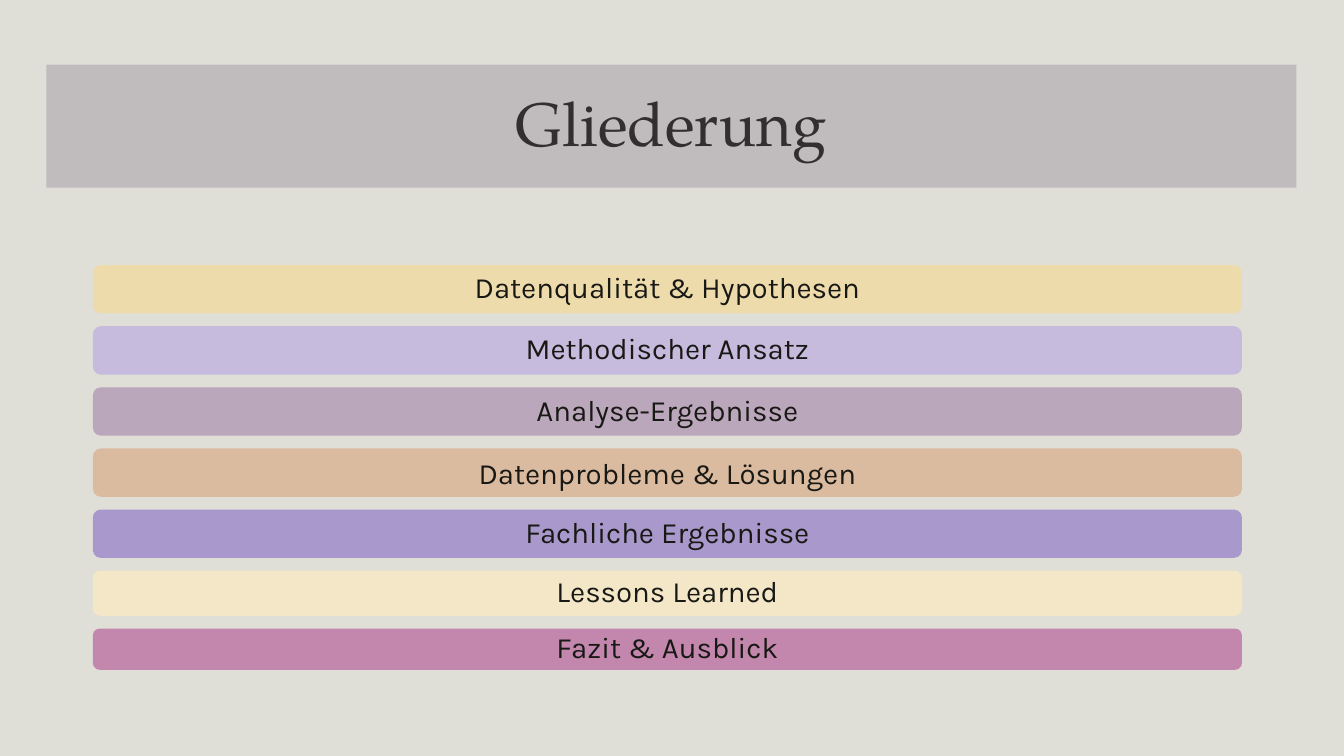
from dataclasses import dataclass

from pptx import Presentation
from pptx.dml.color import RGBColor
from pptx.enum import shapes, text
from pptx.util import Cm, Pt


@dataclass(frozen=True)
class Theme:
    background: str = "DFDFD8"
    banner: str = "C0BCBE"
    title_color: str = "312F30"
    title_font: str = "TeX Gyre Pagella"
    title_size: int = 44
    item_color: str = "181814"
    item_font: str = "Karla"
    item_size: int = 21


THEME = Theme()
BAR_LEFT, BAR_TOP, BAR_WIDTH, BAR_GAP = 2.34, 6.68, 28.96, 0.32

# Wording, fill, height in cm, line spacing
AGENDA = [
    ("Datenqualität & Hypothesen", "EEDBAC", 1.22, 0.9),
    ("Methodischer Ansatz", "C6BADD", 1.22, 0.9),
    ("Analyse-Ergebnisse", "BBA7BB", 1.22, 0.9),
    ("Datenprobleme & Lösungen", "DBBBA0", 1.22, 1.0),
    ("Fachliche Ergebnisse", "A998CC", 1.22, 0.9),
    ("Lessons Learned", "F4E7C8", 1.14, 0.9),
    ("Fazit & Ausblick", "C387AD", 1.04, 0.9),
]


def add_block(slide, kind, left, top, width, height, fill):
    shape = slide.shapes.add_shape(kind, Cm(left), Cm(top), Cm(width), Cm(height))
    shape.shadow.inherit = False
    shape.fill.solid()
    shape.fill.fore_color.rgb = RGBColor.from_string(fill)
    shape.line.fill.background()
    return shape


def write_centered(shape, wording, font_name, size, color, line_spacing=0.9):
    frame = shape.text_frame
    frame.text = wording
    frame.word_wrap = True
    frame.vertical_anchor = text.MSO_ANCHOR.MIDDLE
    paragraph = frame.paragraphs[0]
    paragraph.alignment = text.PP_ALIGN.CENTER
    paragraph.line_spacing = line_spacing
    font = paragraph.runs[0].font
    font.name = font_name
    font.size = Pt(size)
    font.color.rgb = RGBColor.from_string(color)


def add_title(slide, wording):
    banner = add_block(slide, shapes.MSO_SHAPE.RECTANGLE, 1.17, 1.63, 31.5, 3.1, THEME.banner)
    write_centered(banner, wording, THEME.title_font, THEME.title_size, THEME.title_color)


def add_agenda(slide, items):
    """Stack one rounded bar per item with equal gaps."""
    top = BAR_TOP
    for wording, fill, height, line_spacing in items:
        bar = add_block(slide, shapes.MSO_SHAPE.ROUNDED_RECTANGLE,
                        BAR_LEFT, top, BAR_WIDTH, height, fill)
        write_centered(bar, wording, THEME.item_font, THEME.item_size,
                       THEME.item_color, line_spacing)
        top += height + BAR_GAP


def main():
    presentation = Presentation()
    presentation.slide_width = Cm(33.87)
    presentation.slide_height = Cm(19.05)
    slide = presentation.slides.add_slide(presentation.slide_layouts[6])
    slide.background.fill.solid()
    slide.background.fill.fore_color.rgb = RGBColor.from_string(THEME.background)
    add_title(slide, "Gliederung")
    add_agenda(slide, AGENDA)
    presentation.save("out.pptx")


if __name__ == "__main__":
    main()
